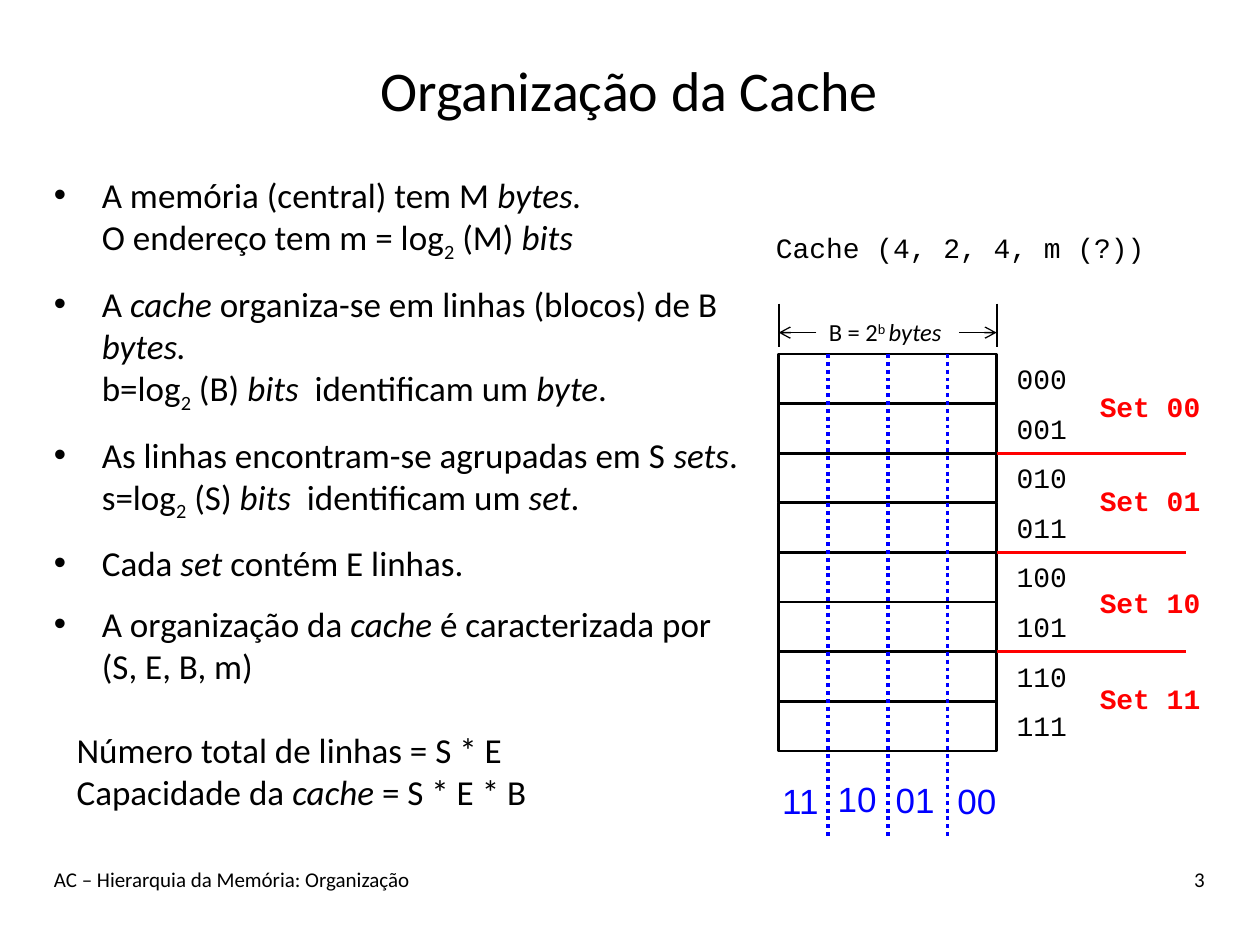
from lxml import etree
from pptx import Presentation
from pptx.dml.color import RGBColor
from pptx.enum.dml import MSO_LINE
from pptx.enum.shapes import MSO_CONNECTOR, MSO_SHAPE
from pptx.enum.text import MSO_ANCHOR, MSO_AUTO_SIZE, PP_ALIGN
from pptx.oxml.ns import qn
from pptx.util import Inches, Pt

BLACK = RGBColor(0x00, 0x00, 0x00)
RED = RGBColor(0xFF, 0x00, 0x00)
BLUE = RGBColor(0x00, 0x00, 0xFF)

LEFT, CENTER, RIGHT = PP_ALIGN.LEFT, PP_ALIGN.CENTER, PP_ALIGN.RIGHT
TOP, MIDDLE = MSO_ANCHOR.TOP, MSO_ANCHOR.MIDDLE
STRAIGHT, RECTANGLE = MSO_CONNECTOR.STRAIGHT, MSO_SHAPE.RECTANGLE
DOTTED = MSO_LINE.ROUND_DOT
FIT_SHAPE = MSO_AUTO_SIZE.SHAPE_TO_FIT_TEXT

TITLE = {"name": "Calibri", "size": Pt(32)}
BODY = {"name": "Calibri", "size": Pt(20)}
FOOTER = {"name": "Calibri", "size": Pt(12)}
WIDTH_LABEL = {"name": "Calibri", "size": Pt(14)}
CODE = {"name": "Courier New", "size": Pt(16)}
SET_LABEL = {"name": "Courier New", "size": Pt(16), "bold": True}
OFFSET = {"name": "Arial", "size": Pt(20)}

# Segments: a plain string, BREAK, or a (text, style) pair
BREAK = "\n"
ITALIC, SUBSCRIPT, SUPERSCRIPT = "italic", "subscript", "superscript"
BASELINES = {SUBSCRIPT: "-25000", SUPERSCRIPT: "30000"}
LOG_BASE = ("2", SUBSCRIPT)

BULLETS = [
    ["A memória (central) tem M ", ("bytes.", ITALIC), BREAK,
     "O endereço tem m = log", LOG_BASE, " (M) ", ("bits", ITALIC)],
    ["A ", ("cache ", ITALIC), "organiza-se em linhas (blocos) de B ",
     ("bytes.", ITALIC), BREAK, "b=log", LOG_BASE, " (B) ", ("bits ", ITALIC),
     " identificam um ", ("byte", ITALIC), "."],
    ["As linhas encontram-se agrupadas em S ", ("sets", ITALIC), ".", BREAK,
     "s=log", LOG_BASE, " (S) ", ("bits ", ITALIC),
     " identificam um ", ("set", ITALIC), "."],
    ["Cada ", ("set ", ITALIC), "contém E linhas."],
    ["A organização da ", ("cache ", ITALIC), "é caracterizada por", BREAK,
     "(S, E, B, m)"],
]
TOTALS = [
    ["Número total de linhas = S * E"],
    ["Capacidade da ", ("cache", ITALIC), " = S * E * B"],
]


def add_segment(paragraph, segment, font, color):
    if segment == BREAK:
        paragraph.add_line_break()
        return
    text, style = (segment, None) if isinstance(segment, str) else segment
    run = paragraph.add_run()
    run.text = text
    for attribute, value in font.items():
        setattr(run.font, attribute, value)
    run.font.color.rgb = color
    if style == ITALIC:
        run.font.italic = True
    elif style in BASELINES:
        run.font._element.set("baseline", BASELINES[style])


def add_text(slide, box, paragraphs, font, color=BLACK, align=LEFT,
             anchor=TOP, wrap=True):
    shape = slide.shapes.add_textbox(*map(Inches, box))
    frame = shape.text_frame
    frame.word_wrap = wrap
    frame.vertical_anchor = anchor
    if not wrap:
        frame.auto_size = FIT_SHAPE
    for index, segments in enumerate(paragraphs):
        paragraph = frame.add_paragraph() if index else frame.paragraphs[0]
        paragraph.alignment = align
        for segment in segments:
            add_segment(paragraph, segment, font, color)
    return shape


def add_label(slide, box, text, font, color=BLACK):
    add_text(slide, box, [[text]], font, color, wrap=False)


def add_line(slide, start, end, color, width, dash=None, arrow=False):
    line = slide.shapes.add_connector(STRAIGHT, *map(Inches, start + end))
    line.line.color.rgb = color
    line.line.width = Pt(width)
    if dash:
        line.line.dash_style = dash
    if arrow:
        etree.SubElement(line.line._get_or_add_ln(), qn("a:tailEnd"), type="arrow")
    etree.SubElement(line._element.spPr, qn("a:effectLst"))


def add_bullets(slide, box):
    shape = add_text(slide, box, BULLETS, BODY)
    for paragraph in shape.text_frame.paragraphs:
        paragraph.space_before = Pt(10.8)
        properties = paragraph._p.get_or_add_pPr()
        properties.set("marL", str(Inches(0.38)))
        properties.set("indent", str(-Inches(0.38)))
        etree.SubElement(properties, qn("a:buFont"), typeface="Arial")
        etree.SubElement(properties, qn("a:buChar"), char="•")


def add_block_width(slide, left, top, width):
    """Dimension marks above the cache lines."""
    right, middle = left + width, top + 0.23
    add_text(slide, (left + 0.3, top + 0.06, 1.13, 0.34),
             [["B = 2", ("b ", SUPERSCRIPT), ("bytes", ITALIC)]],
             WIDTH_LABEL, wrap=False)
    for edge, inner in ((left, left + 0.3), (right, right - 0.3)):
        add_line(slide, (edge, top), (edge, top + 0.34), BLACK, 1)
        add_line(slide, (inner, middle), (edge, middle), BLACK, 0.75, arrow=True)


def add_cache_lines(slide, left, top, width, height, count=8):
    """Numbered cache lines, grouped two by two in sets."""
    right, pitch = left + width, height / count
    for index in range(count):
        row_top = top + index * pitch
        row = slide.shapes.add_shape(
            RECTANGLE, *map(Inches, (left, row_top, width, pitch)))
        row.shadow.inherit = False
        row.fill.background()
        row.line.color.rgb = BLACK
        row.line.width = Pt(1.5)
        add_label(slide, (right + 0.06, row_top + 0.01, 0.61, 0.37),
                  f"{index:03b}", CODE)

    for boundary in range(2, count, 2):
        y = top + boundary * pitch
        add_line(slide, (right, y), (right + 1.5, y), RED, 1.5)
    for index, label_top in enumerate((0.23, 0.98, 1.79, 2.55)):
        add_label(slide, (right + 0.72, top + label_top, 1.01, 0.37),
                  f"Set {index:02b}", SET_LABEL, RED)


def add_byte_columns(slide, left, top, height):
    """Dotted byte separators with the byte offsets below."""
    for column in range(3):
        x = left + 0.39 + column * 0.475
        add_line(slide, (x, top), (x, top + height), BLUE, 2.25, dash=DOTTED)
    offsets = (("11", -0.07, 3.33, 0.49), ("10", 0.37, 3.31, 0.51),
               ("01", 0.83, 3.32, 0.51), ("00", 1.32, 3.33, 0.51))
    for text, x, y, width in offsets:
        add_label(slide, (left + x, top + y, width, 0.44), text, OFFSET, BLUE)


def add_cache_diagram(slide, left, top, width, height):
    add_label(slide, (left - 0.12, top - 1.03, 3.17, 0.37),
              "Cache (4, 2, 4, m (?))", CODE)
    add_block_width(slide, left, top - 0.4, width)
    add_cache_lines(slide, left, top, width, height)
    add_byte_columns(slide, left, top, height + 0.7)


def main():
    presentation = Presentation()
    presentation.slide_width = Inches(10)
    presentation.slide_height = Inches(7.5)
    slide = presentation.slides.add_slide(presentation.slide_layouts[6])

    # Title and body
    add_text(slide, (0.33, 0.25, 9.33, 0.92), [["Organização da Cache"]],
             TITLE, align=CENTER, anchor=MIDDLE)
    add_bullets(slide, (0.33, 1.33, 5.69, 4.15))
    add_text(slide, (0.51, 5.73, 3.8, 0.77), TOTALS, BODY, wrap=False)

    # Diagram
    add_cache_diagram(slide, 6.18, 2.81, 1.73, 3.15)

    # Footer
    add_text(slide, (0.33, 6.83, 7, 0.5),
             [["AC – Hierarquia da Memória: Organização"]], FOOTER)
    add_text(slide, (8.33, 6.83, 1.33, 0.5), [["3"]], FOOTER, align=RIGHT)

    presentation.save("out.pptx")


if __name__ == "__main__":
    main()
